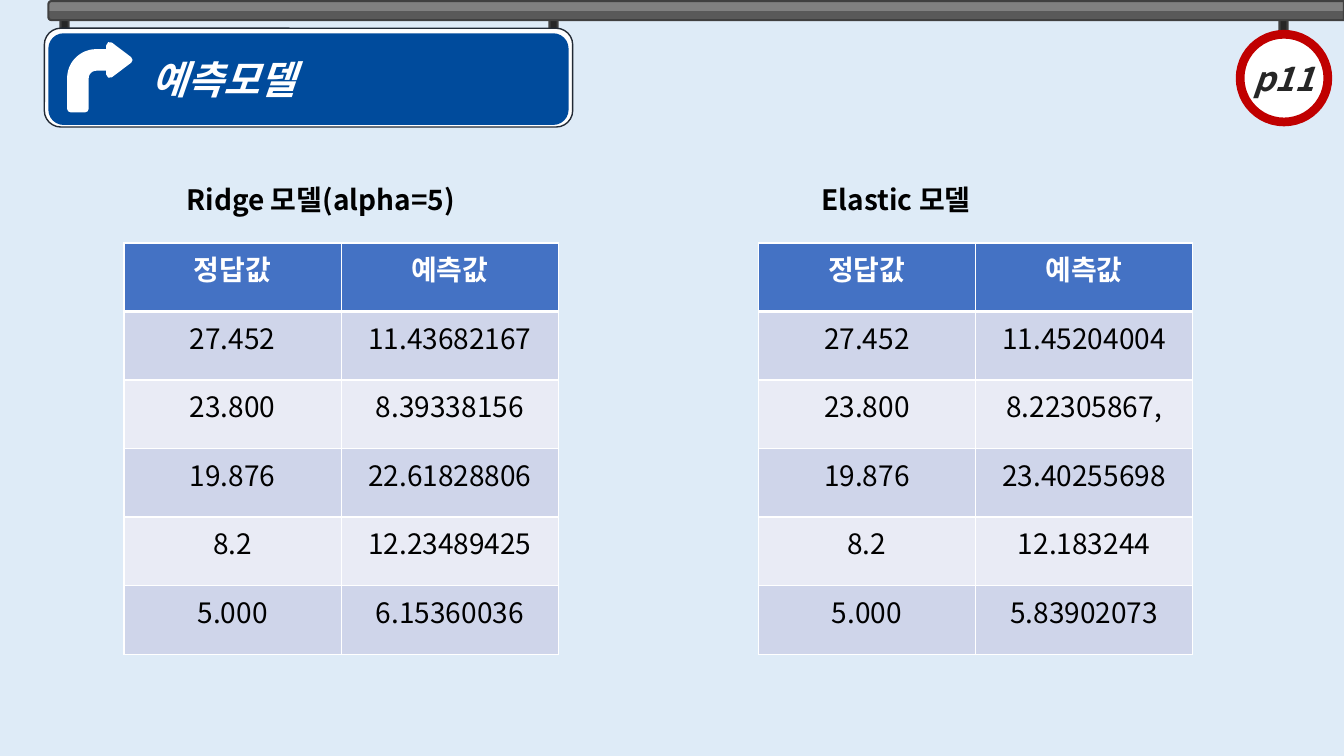
"""Build the prediction model slide with its two result tables."""
from dataclasses import dataclass
from typing import Optional

from lxml.etree import SubElement
from pptx import Presentation
from pptx.dml.color import RGBColor
from pptx.enum.shapes import MSO_SHAPE
from pptx.enum.text import MSO_ANCHOR, PP_ALIGN
from pptx.oxml.ns import qn
from pptx.util import Inches, Pt

FONT = "Noto Sans CJK KR"
SKY = RGBColor(0xDE, 0xEB, 0xF7)
WHITE = RGBColor(0xFF, 0xFF, 0xFF)
BLACK = RGBColor(0x00, 0x00, 0x00)
CHARCOAL = RGBColor(0x26, 0x26, 0x26)
IRON = RGBColor(0x40, 0x40, 0x40)
STEEL_LIGHT = RGBColor(0x80, 0x80, 0x80)
STEEL_DARK = RGBColor(0x59, 0x59, 0x59)
NAVY = RGBColor(0x22, 0x2A, 0x35)
SIGN_BLUE = RGBColor(0x00, 0x4B, 0x9C)
SIGN_RED = RGBColor(0xC0, 0x00, 0x00)
HEADER_BLUE = RGBColor(0x44, 0x72, 0xC4)
BAND_DARK = RGBColor(0xCF, 0xD5, 0xEA)
BAND_LIGHT = RGBColor(0xE9, 0xEB, 0xF5)

HEADERS = ("정답값", "예측값")
ANSWERS = ("27.452", "23.800", "19.876", "8.2", "5.000")
TABLE_TOP = 2.41
COLUMN_WIDTH = 2.155
ROW_HEIGHT = 0.68


@dataclass(frozen=True)
class Part:
    """A preset shape of the road sign scenery."""
    kind: MSO_SHAPE
    left: float
    top: float
    width: float
    height: float
    fill: Optional[RGBColor]
    line: Optional[RGBColor] = None
    weight: float = 1
    adjustments: tuple[float, ...] = ()
    rotation: float = 0


@dataclass(frozen=True)
class Model:
    """A model caption with its table of predictions."""
    caption: str
    caption_left: float
    table_left: float
    predictions: tuple[str, ...]


HANGERS = tuple(
    Part(MSO_SHAPE.ROUNDED_RECTANGLE, left, 0.09, 0.08, 0.36, CHARCOAL, IRON, 1.5, (curve,))
    for left, curve in ((12.69, 0.173), (5.45, 0.5), (0.6, 0.5))
)
POLE = Part(MSO_SHAPE.ROUND_2_SAME_RECTANGLE, 6.81, -6.32, 0.19, 12.85, None, IRON, 1.5,
            rotation=270)
SIGN = (
    Part(MSO_SHAPE.ROUNDED_RECTANGLE, 0.44, 0.28, 5.24, 0.98, WHITE, NAVY),
    Part(MSO_SHAPE.ROUNDED_RECTANGLE, 0.48, 0.33, 5.16, 0.91, SIGN_BLUE),
    Part(MSO_SHAPE.BENT_ARROW, 0.7, 0.45, 0.58, 0.63, WHITE, WHITE, 5,
         (0.25, 0.25, 0.33, 0.438)),
)
PAGE_BADGE = Part(MSO_SHAPE.OVAL, 12.3, 0.34, 0.87, 0.87, WHITE, SIGN_RED, 6.25)

MODELS = (
    Model("Ridge 모델(alpha=5)", 1.75, 1.23,
          ("11.43682167", "8.39338156", "22.61828806", "12.23489425", "6.15360036")),
    Model("Elastic 모델", 8.05, 7.52,
          ("11.45204004", "8.22305867,", "23.40255698", "12.183244", "5.83902073")),
)


def add_part(page, part: Part):
    """Draw one preset shape."""
    shape = page.shapes.add_shape(part.kind, Inches(part.left), Inches(part.top),
                                  Inches(part.width), Inches(part.height))
    shape.shadow.inherit = False
    shape.rotation = part.rotation
    for index, value in enumerate(part.adjustments):
        shape.adjustments[index] = value
    if part.fill is not None:
        shape.fill.solid()
        shape.fill.fore_color.rgb = part.fill
    if part.line is None:
        shape.line.fill.background()
    else:
        shape.line.color.rgb = part.line
        shape.line.width = Pt(part.weight)
    return shape


def add_span(para, text: str, size: float, color: RGBColor,
             bold: bool = True, italic: bool = False) -> None:
    """Add one formatted run."""
    span = para.add_run()
    span.text = text
    span.font.size = Pt(size)
    span.font.bold = bold
    span.font.italic = italic
    span.font.color.rgb = color
    span.font.name = FONT
    SubElement(span.font._element, qn("a:ea"), typeface=FONT)


def add_pole(page) -> None:
    """Draw the two-tone pole that carries the signs."""
    fill = add_part(page, POLE).fill
    fill.gradient()
    fill.gradient_angle = 180
    for stop, color in zip(fill.gradient_stops, (STEEL_LIGHT, STEEL_DARK)):
        stop.position = 0.5
        stop.color.rgb = color


def add_title(page, text: str) -> None:
    """Place the title on the blue sign."""
    title = page.shapes.title
    page.shapes._spTree.append(title._element)
    title.left, title.top = Inches(0.48), Inches(0.33)
    title.width, title.height = Inches(5.16), Inches(0.91)
    frame = title.text_frame
    frame.margin_left = Inches(1.02)
    frame.vertical_anchor = MSO_ANCHOR.MIDDLE
    para = frame.paragraphs[0]
    para.alignment = PP_ALIGN.LEFT
    add_span(para, text, 28, WHITE, italic=True)


def add_page_badge(page, text: str) -> None:
    """Draw the round sign with the page number."""
    frame = add_part(page, PAGE_BADGE).text_frame
    frame.word_wrap = False
    frame.vertical_anchor = MSO_ANCHOR.MIDDLE
    para = frame.paragraphs[0]
    para.alignment = PP_ALIGN.CENTER
    add_span(para, text, 24, CHARCOAL, italic=True)


def set_borders(cell, top: float, bottom: float) -> None:
    """Give a cell white borders."""
    properties = cell._tc.get_or_add_tcPr()
    for side, weight in (("L", 1), ("R", 1), ("T", top), ("B", bottom)):
        line = SubElement(properties, qn(f"a:ln{side}"), w=str(Pt(weight)))
        SubElement(SubElement(line, qn("a:solidFill")), qn("a:srgbClr"), val=str(WHITE))


def add_model(page, model: Model) -> None:
    """Draw the caption and table of one model."""
    box = page.shapes.add_textbox(Inches(model.caption_left), Inches(1.59),
                                  Inches(3.25), Inches(0.54))
    box.text_frame.word_wrap = True
    para = box.text_frame.paragraphs[0]
    para.line_spacing = 1.5
    add_span(para, model.caption, 20, BLACK)

    rows = (HEADERS, *zip(ANSWERS, model.predictions))
    table = page.shapes.add_table(
        len(rows), len(HEADERS), Inches(model.table_left), Inches(TABLE_TOP),
        Inches(COLUMN_WIDTH * len(HEADERS)), Inches(ROW_HEIGHT * len(rows))).table
    for row_index, row in enumerate(rows):
        is_header = row_index == 0
        band = BAND_DARK if row_index % 2 else BAND_LIGHT
        for column_index, text in enumerate(row):
            cell = table.cell(row_index, column_index)
            set_borders(cell, 3 if row_index == 1 else 1, 3 if is_header else 1)
            cell.fill.solid()
            cell.fill.fore_color.rgb = HEADER_BLUE if is_header else band
            para = cell.text_frame.paragraphs[0]
            para.alignment = PP_ALIGN.CENTER
            add_span(para, text, 20, WHITE if is_header else BLACK, bold=is_header)


def main() -> None:
    """Build and save the deck."""
    deck = Presentation()
    deck.slide_width, deck.slide_height = Inches(13.33), Inches(7.5)
    page = deck.slides.add_slide(deck.slide_layouts[5])
    page.background.fill.solid()
    page.background.fill.fore_color.rgb = SKY
    for hanger in HANGERS:
        add_part(page, hanger)
    add_pole(page)
    for part in SIGN:
        add_part(page, part)
    add_title(page, "예측모델")
    add_page_badge(page, "p11")
    for model in MODELS:
        add_model(page, model)
    deck.save("out.pptx")


if __name__ == "__main__":
    main()
